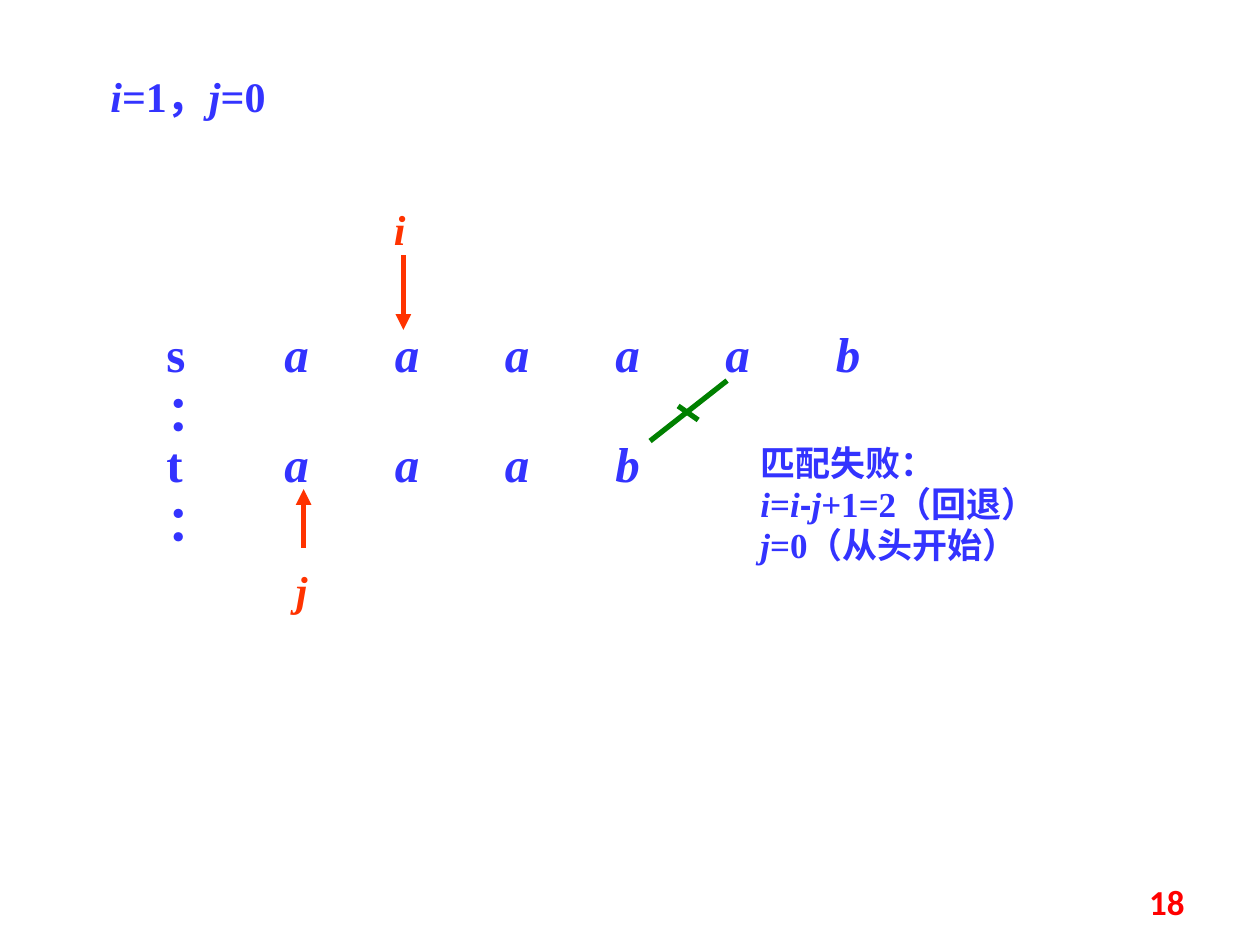
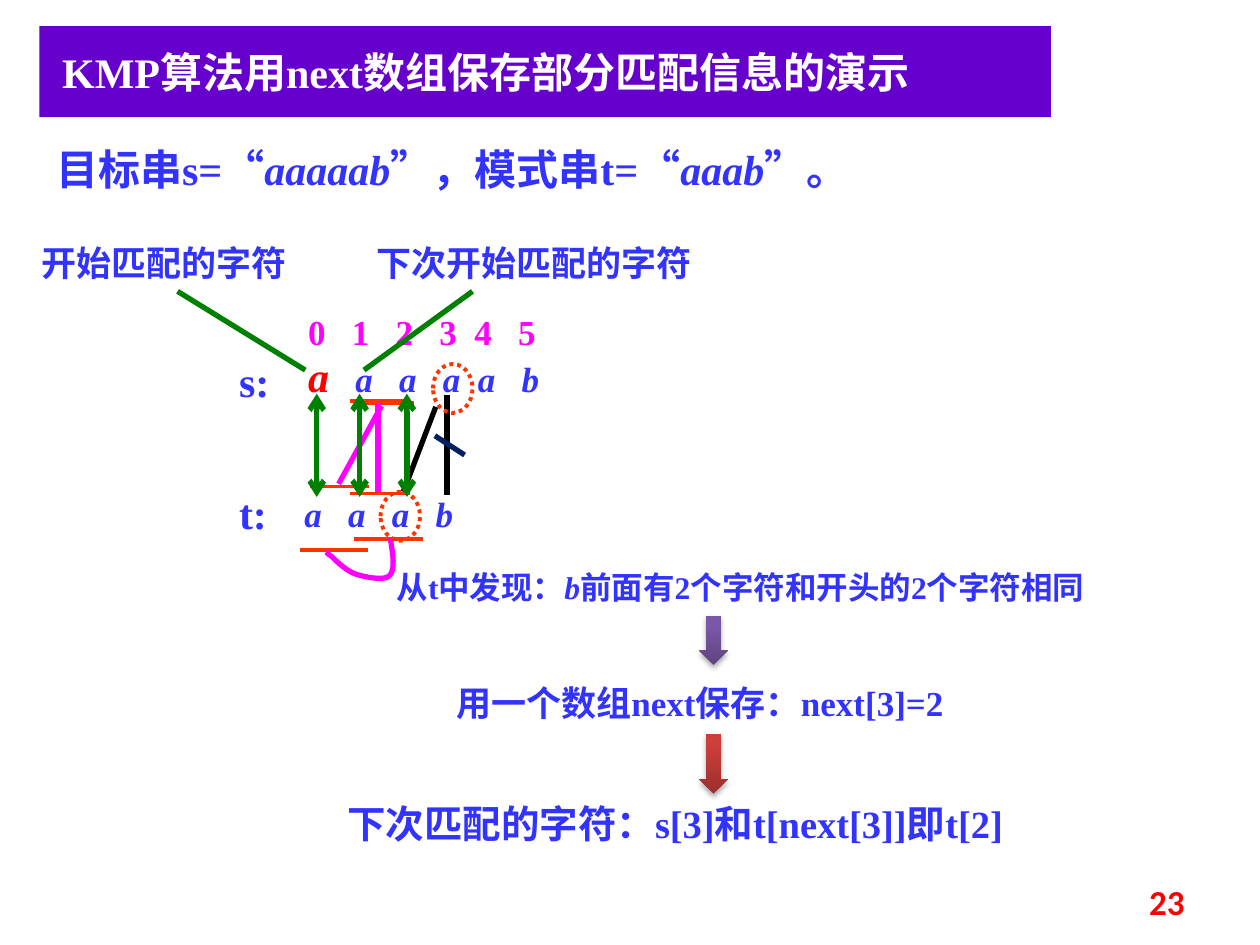
import pptx
import pptx.dml.color
import pptx.enum.dml
import pptx.enum.shapes
import pptx.enum.text
import pptx.oxml
import pptx.oxml.ns
import pptx.util

BLUE, RED, ORANGE = "3333FF", "FF0000", "FF3300"
GREEN, MAGENTA, BLACK, NAVY = "008000", "FF00FF", "000000", "002060"
PURPLE, WHITE = "6600CC", "FFFFFF"
LATIN, CJK = "Times New Roman", "Noto Sans CJK SC"
ITALIC = {"italic": True}
SHAPE = pptx.enum.shapes.MSO_SHAPE
ALIGN = pptx.enum.text.PP_ALIGN
ANCHOR = pptx.enum.text.MSO_ANCHOR


def rgb(value):
    return pptx.dml.color.RGBColor.from_string(value)


def pts(*values):
    return [pptx.util.Pt(value) for value in values]


def element(xml):
    return pptx.oxml.parse_xml(xml.replace(" ", f' {pptx.oxml.ns.nsdecls("a")} ', 1))


class Deck:
    """Holds the shared style and the current slide, and draws each kind of element."""

    def __init__(self):
        self.prs = pptx.Presentation()
        self.prs.slide_width, self.prs.slide_height = pts(720, 540)

    def new_slide(self, number, title=None):
        self.slide = self.prs.slides.add_slide(self.prs.slide_layouts[5 if title else 6])
        if title:
            self.title(title)
        self.text((516, 500.5, 168, 29), number, size=20, color=RED, font="Calibri",
                  align=ALIGN.RIGHT, anchor=ANCHOR.MIDDLE)

    def title(self, words):
        band = self.slide.shapes.title
        band.left, band.top, band.width, band.height = pts(22.5, 15, 578, 52)
        band.fill.solid()
        band.fill.fore_color.rgb = rgb(PURPLE)
        self.fill_frame(band.text_frame, [words], (13, 11.5), 24, WHITE)

    def text(self, box, *paragraphs, inset=(7.2, 3.6), size=24, color=BLUE, **style):
        frame = self.slide.shapes.add_textbox(*pts(*box)).text_frame
        self.fill_frame(frame, paragraphs, inset, size, color, **style)

    def fill_frame(self, frame, paragraphs, inset, size, color, font=LATIN, align=ALIGN.LEFT,
                   anchor=ANCHOR.TOP, spacing=None, gap=0, tabs=()):
        frame.word_wrap = True
        frame.auto_size = pptx.enum.text.MSO_AUTO_SIZE.NONE
        frame.vertical_anchor = anchor
        frame.margin_left, frame.margin_top = pts(*inset)
        frame.margin_right, frame.margin_bottom = pts(*inset)
        for index, runs in enumerate(paragraphs):
            para = frame.add_paragraph() if index else frame.paragraphs[0]
            if tabs:
                stops = "".join(f'<a:tab pos="{pptx.util.Pt(stop)}" algn="l"/>' for stop in tabs)
                para._p.get_or_add_pPr().append(element(f"<a:tabLst >{stops}</a:tabLst>"))
            para.alignment = align
            if spacing:
                para.line_spacing = spacing
            if index:
                para.space_before = pptx.util.Pt(gap)
            for piece in [(runs, {})] if isinstance(runs, str) else runs:
                self.add_words(para, *piece, size, color, font)

    def add_words(self, para, words, change, size, color, font):
        run = para.add_run()
        run.text = words
        look = run.font
        look.name = change.get("font", font)
        look.size = pptx.util.Pt(change.get("size", size))
        look.bold = True
        look.italic = change.get("italic", False)
        look.color.rgb = rgb(change.get("color", color))
        latin = run._r.rPr.find(pptx.oxml.ns.qn("a:latin"))
        latin.addnext(element(f'<a:ea typeface="{CJK}"/>'))

    def letters(self, box, letters, tabs, first=None, italic=True, **style):
        runs = [(letters[0], {"italic": italic, **(first or {})}),
                ("".join("\t" + letter for letter in letters[1:]), {"italic": italic})]
        self.text(box, runs, tabs=tabs, **style)

    def line(self, start, end, color, width=3, head=None, tail=None):
        kind = pptx.enum.shapes.MSO_CONNECTOR.STRAIGHT
        connector = self.slide.shapes.add_connector(kind, *pts(*start, *end))
        connector.line.color.rgb = rgb(color)
        connector.line.width = pptx.util.Pt(width)
        outline = connector.line._get_or_add_ln()
        for name, arrow in (("headEnd", head), ("tailEnd", tail)):
            if arrow:
                outline.append(element(f'<a:{name} type="{arrow}"/>'))
        connector._element.spPr.append(element("<a:effectLst />"))

    def underline(self, left, top, width):
        self.line((left, top), (left + width, top), ORANGE, 2.25)

    def ring(self, left, top):
        ring = self.slide.shapes.add_shape(SHAPE.OVAL, *pts(left, top, 22.5, 28))
        ring.shadow.inherit = False
        ring.fill.background()
        ring.line.color.rgb = rgb(ORANGE)
        ring.line.width = pptx.util.Pt(2.25)
        ring.line.dash_style = pptx.enum.dml.MSO_LINE.ROUND_DOT

    def step_arrow(self, top, height, dark, light):
        arrow = self.slide.shapes.add_shape(SHAPE.DOWN_ARROW, *pts(399.5, top, 16.5, height))
        arrow.line.fill.background()
        arrow.fill.gradient()
        arrow.fill.gradient_angle = 90
        for stop, position, color in zip(arrow.fill.gradient_stops, (0, 0.8), (dark, light)):
            stop.position = position
            stop.color.rgb = rgb(color)
        blur, distance = pts(3.1, 1.8)
        arrow._element.spPr.append(element(
            f'<a:effectLst ><a:outerShdw blurRad="{blur}" dist="{distance}" dir="5400000" '
            'rotWithShape="0"><a:srgbClr val="000000"><a:alpha val="35000"/></a:srgbClr>'
            "</a:outerShdw></a:effectLst>"))

    def curve(self, start, segments, color, steps=10):
        points = []
        origin = start
        for control1, control2, end in segments:
            for step in range(1, steps + 1):
                t = step / steps
                weights = ((1 - t) ** 3, 3 * t * (1 - t) ** 2, 3 * t * t * (1 - t), t ** 3)
                corners = (origin, control1, control2, end)
                points.append(pts(*(sum(w * c[axis] for w, c in zip(weights, corners))
                                    for axis in (0, 1))))
            origin = end
        builder = self.slide.shapes.build_freeform(*pts(*start))
        builder.add_line_segments(points, close=False)
        arc = builder.convert_to_shape()
        arc.shadow.inherit = False
        arc.fill.background()
        arc.line.color.rgb = rgb(color)
        arc.line.width = pptx.util.Pt(3)


def mismatch_slide(deck):
    deck.new_slide("18")
    pitch = [63 * step for step in range(1, 6)]
    for name, top, string in (("s：", 181.5, "aaaaab"), ("t：", 244, "aaab")):
        deck.letters((155.5, top, 391, 41), string, pitch, size=28)
        deck.text((88, top, 34, 41), name, size=28)
    for index, x, start, end, label in (("i", 230.5, 146, 188.5, (218, 112.5)),
                                        ("j", 173.5, 313, 279.5, (162, 319))):
        deck.line((x, start), (x, end), ORANGE, tail="triangle")
        deck.text((*label, 34, 36), [(index, ITALIC)], color=ORANGE)
    deck.text((427.5, 255.5, 238, 82), "匹配失败：",
              [("i", ITALIC), ("=", {}), ("i", ITALIC), ("-", {"font": "Arial"}),
               ("j", ITALIC), ("+1=2（回退）", {})],
              [("j", ITALIC), ("=0（从头开始）", {})], size=20, spacing=0.7, gap=6.6)
    deck.line((415.5, 217.5), (371.5, 252), GREEN)
    deck.line((387.5, 232), (399, 240), GREEN)
    deck.text((56, 44.5, 168.5, 28),
              [("i", ITALIC), ("=1，", {}), ("j", ITALIC), ("=0", {})], spacing=0.7)


def next_array_slide(deck):
    deck.new_slide("23", "KMP算法用next数组保存部分匹配信息的演示")
    deck.letters((169, 196.5, 181.5, 36), "aaaaab", (27, 52, 77, 97, 122),
                 first={"size": 24, "color": RED}, size=20)
    columns = (25, 50, 75, 95, 120)
    deck.letters((169, 174, 187, 31), "012345", columns, italic=False, size=20, color=MAGENTA)
    deck.letters((174, 281.5, 131, 24.5), "aaab", columns, size=20, inset=(0, 0))

    for left, top in ((200, 282), (200, 229), (177, 278), (202.5, 230.5)):
        deck.underline(left, top, 34)
    deck.line((216, 230.5), (216, 281), MAGENTA)
    deck.line((218, 232), (193.5, 276.5), MAGENTA)

    deck.text((219.5, 321, 461, 29),
              [("从t中发现：", {}), ("b", ITALIC), ("前面有2个字符和开头的2个字符相同", {})], size=18)
    deck.underline(202.5, 308, 39)
    deck.underline(171.5, 314.5, 39)
    deck.curve((186, 315.5),
               [((186.5, 315.5), (186.5, 316), (189.5, 318)),
                ((192, 320.5), (197.5, 326), (203, 328)),
                ((209, 330), (219.5, 332), (222.5, 329)),
                ((226, 325.5), (224.5, 317), (223, 307.5))], MAGENTA)

    deck.line((255.5, 226), (255.5, 283), BLACK)
    deck.line((248.5, 249), (265.5, 260), NAVY)
    deck.ring(247.5, 208)
    deck.ring(217.5, 281)
    deck.line((249, 232.5), (230.5, 281), BLACK)
    for name, top in (("s:", 199.5), ("t:", 275)):
        deck.text((129.5, top, 39.5, 36), name)
    for x in (181, 205.5, 232.5):
        deck.line((x, 225), (x, 284), GREEN, head="arrow", tail="arrow")
    for left, width, label, start, end in ((16.5, 168.5, "开始匹配的字符", 101.5, 174.5),
                                           (208, 202.5, "下次开始匹配的字符", 270, 208)):
        deck.text((left, 134.5, width, 31.5), label, size=20, font=CJK)
        deck.line((start, 166.5), (end, 211.5), GREEN)

    deck.text((253.5, 386, 320.5, 31.5), "用一个数组next保存：next[3]=2", size=20)
    deck.step_arrow(352, 28, "5F4480", "7B58A6")
    deck.text((191.5, 453.5, 450, 34), "下次匹配的字符：s[3]和t[next[3]]即t[2]", size=22)
    deck.step_arrow(419.5, 34, "9C2F2D", "CB3E3A")
    deck.text((25, 78.5, 486.5, 36),
              [("目标串s=“", {}), ("aaaaab", ITALIC), ("”，模式串t=“", {}),
               ("aaab", ITALIC), ("”。", {})])


def main():
    deck = Deck()
    mismatch_slide(deck)
    next_array_slide(deck)
    deck.prs.save("out.pptx")


if __name__ == "__main__":
    main()
